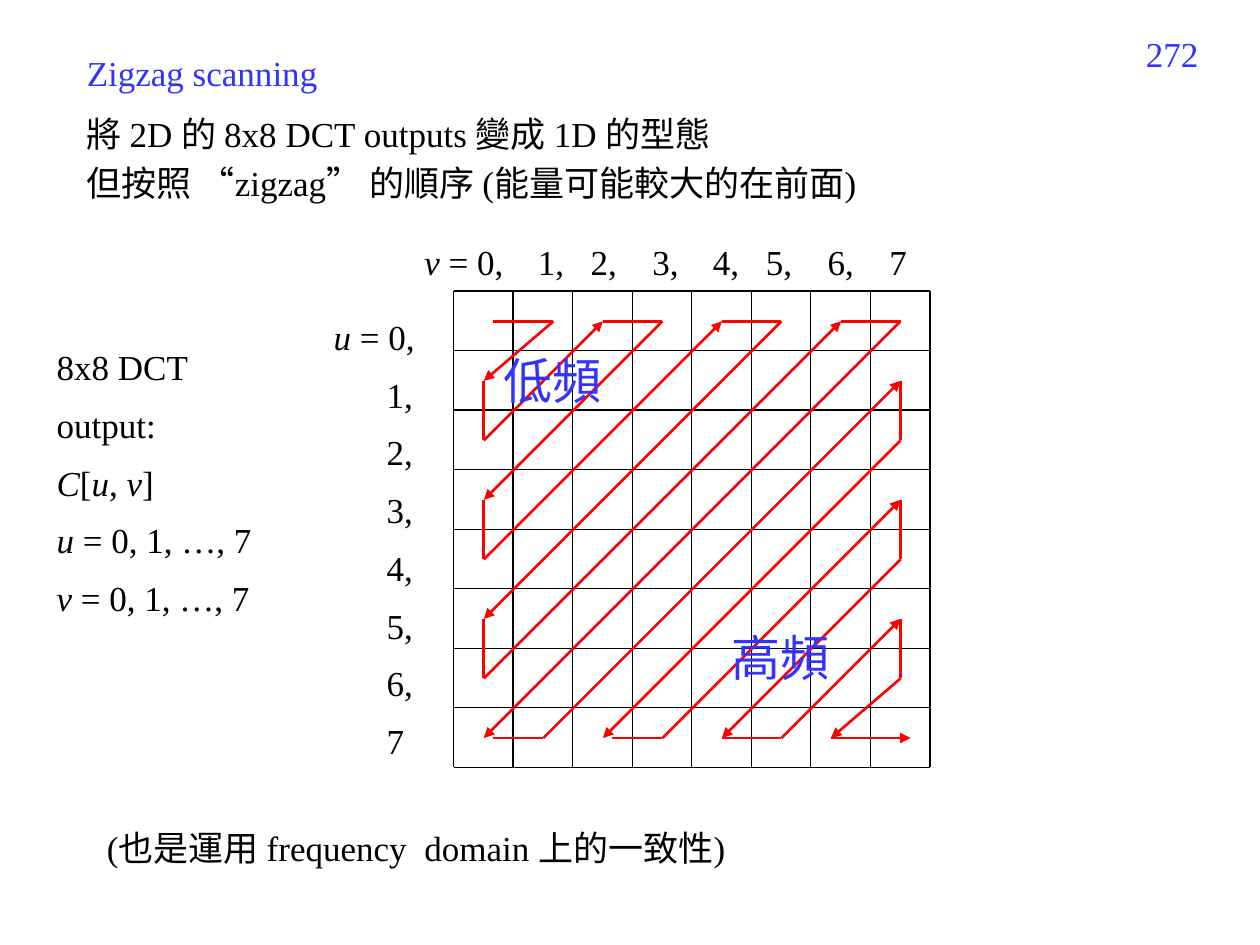
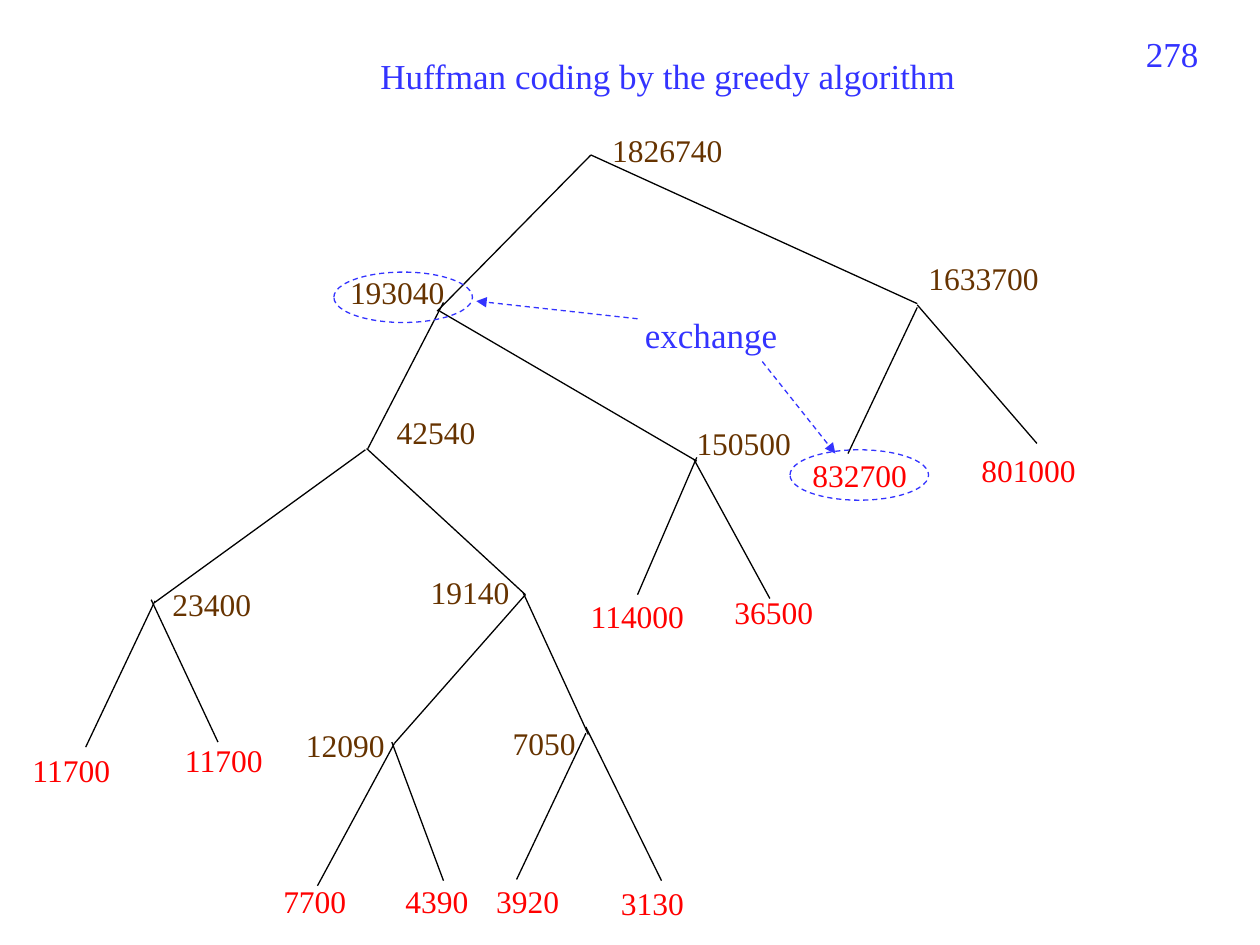
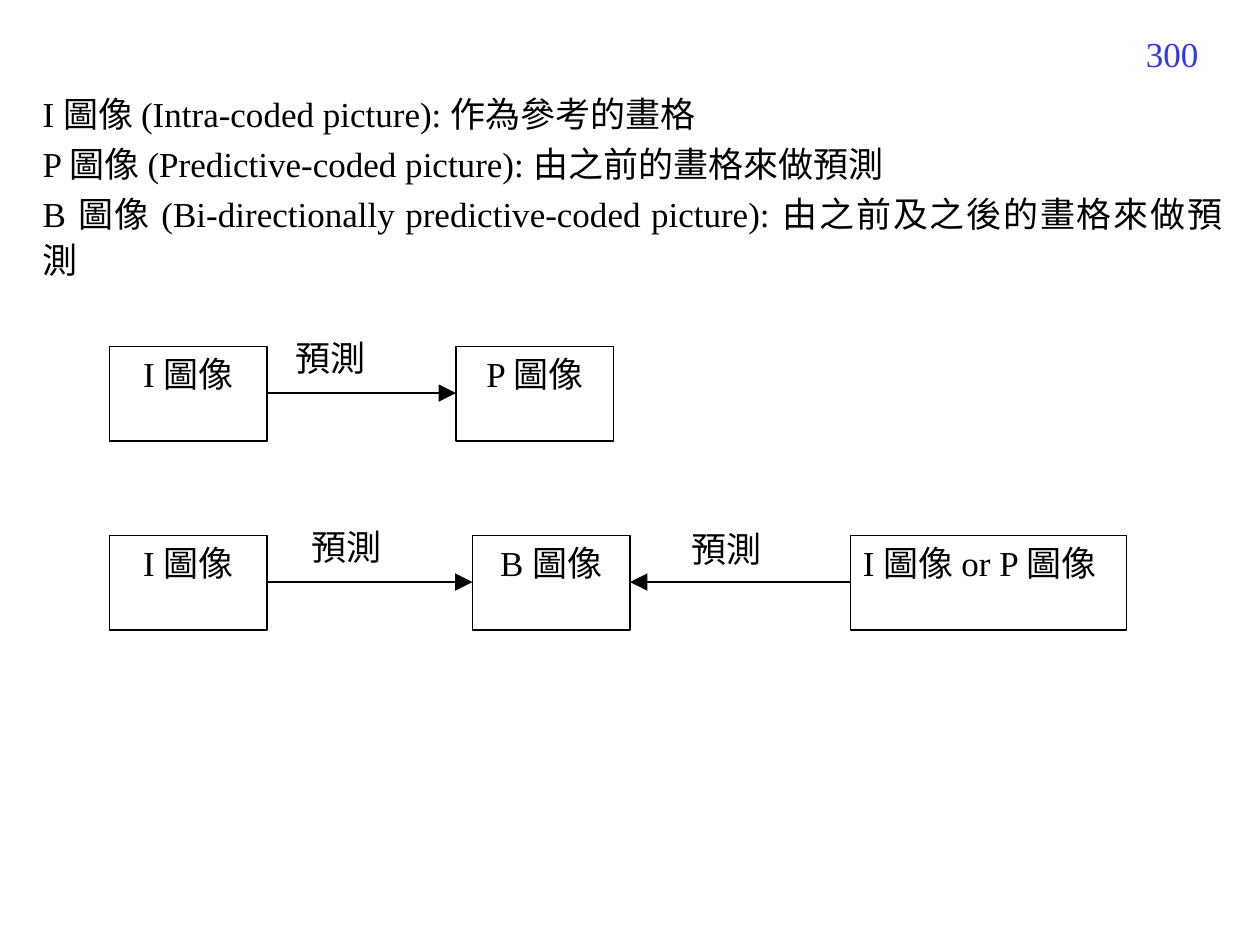
import pptx
import pptx.util
import pptx.dml.color
import pptx.enum.dml
import pptx.enum.shapes
import pptx.enum.text
import pptx.oxml.ns
import lxml.etree

PX = 9144
FONT = "Times New Roman"
BLACK, WHITE, BLUE, RED, BROWN = "000000", "FFFFFF", "3333FF", "FF0000", "663300"
DASH = pptx.enum.dml.MSO_LINE.DASH
SHAPES = pptx.enum.shapes.MSO_SHAPE
ALIGN = pptx.enum.text.PP_ALIGN
ANCHOR = pptx.enum.text.MSO_ANCHOR
GROW = pptx.enum.text.MSO_AUTO_SIZE.SHAPE_TO_FIT_TEXT
hex_color = pptx.dml.color.RGBColor.from_string
qualified = pptx.oxml.ns.qn


def add_text(slide, box, paragraphs, color=BLACK, size=20, preset=None, frame_format={}, paragraph_format={}):
    bounds = [value * PX for value in box]
    if preset:
        shape = slide.shapes.add_shape(preset, *bounds)
        shape.shadow.inherit = False
    else:
        shape = slide.shapes.add_textbox(*bounds)
    frame = shape.text_frame
    for name, value in {"word_wrap": True, "vertical_anchor": ANCHOR.TOP, **frame_format}.items():
        setattr(frame, name, value)
    for index, text in enumerate(paragraphs):
        paragraph = frame.add_paragraph() if index else frame.paragraphs[0]
        for name, value in {"alignment": ALIGN.LEFT, **paragraph_format}.items():
            setattr(paragraph, name, value)
        for part, words in enumerate(text.split("*")):
            if words:
                run = paragraph.add_run()
                run.text = words
                run.font.color.rgb = hex_color(color)
                font_format = {"name": FONT, "size": pptx.util.Pt(size), "italic": part % 2 == 1}
                for name, value in font_format.items():
                    setattr(run.font, name, value)
    return shape


def add_line(slide, start, end, color=BLACK, width=0.75, dash=None, arrow=None):
    ends = [round(value * PX) for value in (*start, *end)]
    connector = slide.shapes.add_connector(pptx.enum.shapes.MSO_CONNECTOR.STRAIGHT, *ends)
    connector.line.color.rgb = hex_color(color)
    for name, value in {"width": pptx.util.Pt(width), "dash_style": dash}.items():
        setattr(connector.line, name, value)
    if arrow:
        line_element = connector.line._get_or_add_ln()
        lxml.etree.SubElement(line_element, qualified("a:tailEnd"), type="triangle", w=arrow, len=arrow)
    lxml.etree.SubElement(connector._element.spPr, qualified("a:effectLst"))


presentation = pptx.Presentation()
presentation.slide_width = 1000 * PX
presentation.slide_height = 750 * PX
slides = []
for number in ("272", "278", "300"):
    slide = presentation.slides.add_slide(presentation.slide_layouts[6])
    add_text(slide, (728, 21, 233, 52), [number], BLUE, paragraph_format={"alignment": ALIGN.RIGHT})
    slides.append(slide)
zigzag_slide, huffman_slide, picture_slide = slides

for box, text, color in (
    ((59, 36, 528, 44), "Zigzag scanning", BLUE),
    ((75, 651, 551, 44), "(也是運用 frequency  domain 上的一致性)", BLACK),
    ((59, 84, 622, 44), "將 2D 的 8x8 DCT outputs 變成 1D 的型態", BLACK),
    ((59, 123, 827, 44), "但按照 “zigzag” 的順序 (能量可能較大的在前面)", BLACK),
):
    add_text(zigzag_slide, box, [text], color)

GRID_LEFT, GRID_TOP, GRID_SIZE, CELLS = 360, 231, 378, 8
CELL = GRID_SIZE / CELLS
for index in range(CELLS + 1):
    x = GRID_LEFT + index * CELL
    y = GRID_TOP + index * CELL
    add_line(zigzag_slide, (x, GRID_TOP), (x, GRID_TOP + GRID_SIZE))
    add_line(zigzag_slide, (GRID_LEFT, y), (GRID_LEFT + GRID_SIZE, y))

LAST = CELLS - 1
corner_shifts = {(1, 0): 8, (6, 7): -8, (7, 7): 8}
step_shifts = {(0, 0): 7, (0, 7): 7, (2, 7): 7}
centers = {
    (column, row): (384 + column * CELL + corner_shifts.get((column, row), 0), 255 + row * CELL)
    for column in range(CELLS)
    for row in range(CELLS)
}
previous = (0, 0)
for diagonal in range(1, 2 * LAST + 1):
    low, high = max(0, diagonal - LAST), min(diagonal, LAST)
    entry, leave = (low, high), (high, low)
    if diagonal % 2:
        entry, leave = leave, entry
    finished = diagonal == 2 * LAST
    x, y = centers[previous]
    add_line(zigzag_slide, (x + step_shifts.get(previous, 0), y), centers[entry], RED, 1.5,
             arrow="med" if finished else None)
    if not finished:
        add_line(zigzag_slide, centers[entry], centers[leave], RED, 1.5, arrow="med")
    previous = leave

column_labels = add_text(
    zigzag_slide, (327, 186, 504, 44), ["*v *= 0,\t" + ",\t".join(str(index) for index in range(1, CELLS))])
tab_list = lxml.etree.SubElement(
    column_labels.text_frame.paragraphs[0]._p.get_or_add_pPr(), qualified("a:tabLst"))
for position in (90, 132, 181, 229, 271, 320, 369):
    lxml.etree.SubElement(tab_list, qualified("a:tab"), pos=str(position * PX), algn="l")

spaced = {"line_spacing": pptx.util.Pt(33)}
row_labels = add_text(
    zigzag_slide, (248, 233, 110, 380),
    ["*u *= 0,"] + [f"{index}," for index in range(1, LAST)] + [str(LAST)], paragraph_format=spaced)
for index, paragraph in enumerate(row_labels.text_frame.paragraphs):
    paragraph._p.get_or_add_pPr().set("marL", str((49 if index else 7) * PX))
add_text(
    zigzag_slide, (35, 257, 205, 190),
    ["8x8 DCT output:", "*C*[*u*, *v*]", "*u *= 0, 1, …, 7", "*v *= 0, 1, …, 7"], paragraph_format=spaced)
add_text(zigzag_slide, (390, 273, 110, 57), ["低頻"], BLUE, 28)
add_text(zigzag_slide, (571, 493, 110, 57), ["高頻"], BLUE, 28)

add_text(huffman_slide, (279, 38, 502, 44), ["Huffman coding by the greedy algorithm"], BLUE,
         paragraph_format={"alignment": ALIGN.CENTER})
for start, end in (
    ((469, 123), (347, 247)), ((469, 123), (728, 241)),
    ((352, 240), (292, 356)), ((349, 247), (553, 366)),
    ((291, 356), (417, 472)), ((290, 357), (123, 478)),
    ((728, 244), (673, 360)), ((728, 242), (823, 352)),
    ((553, 363), (506, 472)), ((551, 365), (611, 475)),
    ((123, 477), (68, 593)), ((120, 476), (173, 589)),
    ((417, 472), (313, 590)), ((415, 470), (467, 583)),
    ((313, 590), (252, 703)), ((311, 589), (352, 699)),
    ((465, 582), (410, 698)), ((465, 577), (525, 699)),
):
    add_line(huffman_slide, start, end)

leaves = (
    (483, 697, "3130"), (384, 695, "3920"), (312, 695, "4390"), (215, 695, "7700"),
    (137, 583, "11700"), (16, 591, "11700"), (573, 466, "36500"), (459, 469, "114000"),
    (635, 357, "832700"), (769, 353, "801000"),
)
sums = (
    (476, 99, "1826740"), (727, 201, "1633700"), (543, 332, "150500"), (127, 459, "23400"),
    (233, 571, "12090"), (397, 570, "7050"), (332, 450, "19140"), (268, 212, "193040"),
    (305, 323, "42540"),
)
for color, nodes in ((RED, leaves), (BROWN, sums)):
    for left, top, weight in nodes:
        add_text(huffman_slide, (left, top, 18 + 13 * len(weight), 40), [weight], color, 18,
                 frame_format={"word_wrap": False, "auto_size": GROW})

for left, top in ((627, 357), (265, 216)):
    ellipse = add_text(huffman_slide, (left, top, 110, 40), [], preset=SHAPES.OVAL)
    ellipse.fill.background()
    ellipse.line.color.rgb = hex_color(BLUE)
    for name, value in {"width": pptx.util.Pt(0.75), "dash_style": DASH}.items():
        setattr(ellipse.line, name, value)
add_text(huffman_slide, (502, 244, 126, 43), ["exchange"], BLUE)
for start, end in (((506, 253), (378, 239)), ((605, 287), (663, 360))):
    add_line(huffman_slide, start, end, BLUE, dash=DASH, arrow="med")

add_text(
    picture_slide, (24, 83, 956, 127),
    [
        "I 圖像 (Intra-coded picture): 作為參考的畫格",
        "P 圖像 (Predictive-coded picture): 由之前的畫格來做預測",
        "B 圖像 (Bi-directionally predictive-coded picture): 由之前及之後的畫格來做預測",
    ],
    frame_format={"vertical_anchor": ANCHOR.MIDDLE, "auto_size": GROW},
    paragraph_format={"alignment": ALIGN.JUSTIFY, "line_spacing": 1.1, "space_before": pptx.util.Pt(2)},
)
for left, top, width, text, alignment, outlined in (
    (225, 262, 125, "預測", ALIGN.LEFT, False),
    (237, 412, 125, "預測", ALIGN.LEFT, False),
    (539, 414, 125, "預測", ALIGN.LEFT, False),
    (87, 275, 125, "I 圖像", ALIGN.CENTER, True),
    (362, 275, 125, "P 圖像", ALIGN.CENTER, True),
    (87, 425, 125, "I 圖像", ALIGN.CENTER, True),
    (375, 425, 125, "B 圖像", ALIGN.CENTER, True),
    (675, 425, 219, "I 圖像 or P 圖像", ALIGN.LEFT, True),
):
    block = add_text(picture_slide, (left, top, width, 75), [text], preset=SHAPES.RECTANGLE,
                     paragraph_format={"alignment": alignment})
    block.fill.solid()
    block.fill.fore_color.rgb = hex_color(WHITE)
    if outlined:
        block.line.color.rgb = hex_color(BLACK)
        block.line.width = pptx.util.Pt(0.75)
    else:
        block.line.fill.background()
for start, end, y in ((212, 362, 312), (212, 375, 462), (675, 500, 462)):
    add_line(picture_slide, (start, y), (end, y), arrow="lg")

presentation.save("out.pptx")
